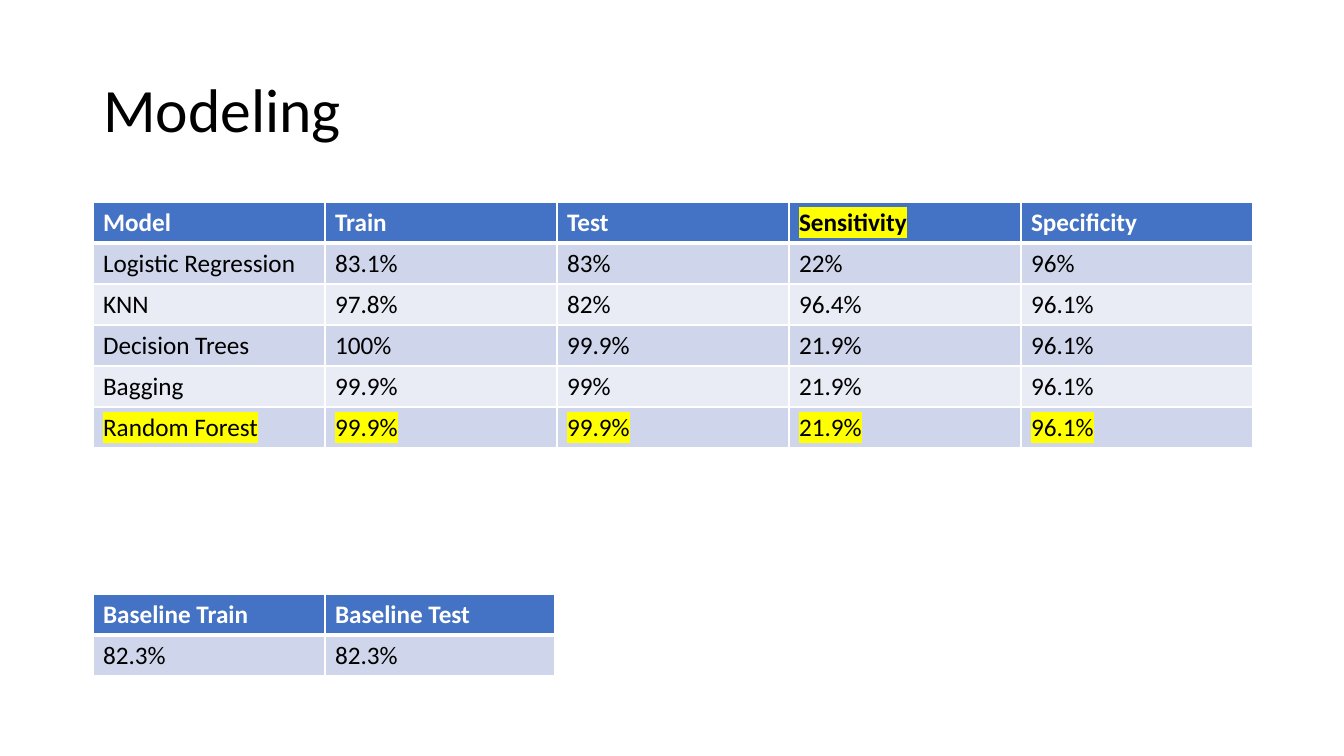
from lxml import etree
from pptx import Presentation
from pptx.dml.color import RGBColor
from pptx.enum.text import MSO_ANCHOR, MSO_AUTO_SIZE, PP_ALIGN
from pptx.oxml.ns import qn
from pptx.util import Emu, Pt

MIDDLE = MSO_ANCHOR.MIDDLE
NO_AUTOFIT = MSO_AUTO_SIZE.NONE
LEFT = PP_ALIGN.LEFT

EMU_PER_PX = 914400 / 100.8
TITLE_ONLY = 5
FONT = "Calibri"
COLORS = {
    "text": "000000",
    "header_text": "FFFFFF",
    "header": "4472C4",
    "odd_row": "CFD5EA",
    "even_row": "E9EBF5",
    "border": "FFFFFF",
    "highlight": "FFFF00",
}

MODEL_ROWS = [
    ["Model", "Train", "Test", "Sensitivity", "Specificity"],
    ["Logistic Regression", "83.1%", "83%", "22%", "96%"],
    ["KNN", "97.8%", "82%", "96.4%", "96.1%"],
    ["Decision Trees", "100%", "99.9%", "21.9%", "96.1%"],
    ["Bagging", "99.9%", "99%", "21.9%", "96.1%"],
    ["Random Forest", "99.9%", "99.9%", "21.9%", "96.1%"],
]
BASELINE_ROWS = [["Baseline Train", "Baseline Test"], ["82.3%", "82.3%"]]
HIGHLIGHTED = {(0, 3)} | {(5, column) for column in range(5)}


def px(length):
    return Emu(round(length * EMU_PER_PX))


class SlideBuilder:
    def __init__(self, presentation, font, colors):
        self.slide = presentation.slides.add_slide(presentation.slide_layouts[TITLE_ONLY])
        self.font = font
        self.colors = colors

    def color(self, name):
        return RGBColor.from_string(self.colors[name])

    def format_run(self, run, size, color, bold=False, highlight=False):
        run.font.name = self.font
        run.font.size = Pt(size)
        run.font.bold = bold
        run.font.color.rgb = self.color(color)
        if highlight:
            mark = etree.Element(qn("a:highlight"))
            etree.SubElement(mark, qn("a:srgbClr"), val=self.colors["highlight"])
            run.font._element.find(qn("a:solidFill")).addnext(mark)

    def title(self, text, left, top, width, height):
        shape = self.slide.shapes.title
        shape.left, shape.top = px(left), px(top)
        shape.width, shape.height = px(width), px(height)
        frame = shape.text_frame
        frame.text = text
        frame.auto_size = NO_AUTOFIT
        frame.vertical_anchor = MIDDLE
        paragraph = frame.paragraphs[0]
        paragraph.alignment = LEFT
        paragraph.line_spacing = 0.9
        self.format_run(paragraph.runs[0], 44, "text")

    def borders(self, cell, row):
        widths = {"L": 1, "R": 1, "T": 3 if row == 1 else 1, "B": 3 if row == 0 else 1}
        properties = cell._tc.get_or_add_tcPr()
        for position, (side, width) in enumerate(widths.items()):
            line = etree.Element(qn(f"a:ln{side}"), w=str(Pt(width)))
            fill = etree.SubElement(line, qn("a:solidFill"))
            etree.SubElement(fill, qn("a:srgbClr"), val=self.colors["border"])
            properties.insert(position, line)

    def table(self, rows, left, top, column_widths, row_height, highlighted=()):
        table = self.slide.shapes.add_table(
            len(rows), len(column_widths), px(left), px(top),
            px(sum(column_widths)), px(row_height * len(rows)),
        ).table
        for column, width in zip(table.columns, column_widths):
            column.width = px(width)
        for row, values in enumerate(rows):
            table.rows[row].height = px(row_height)
            header = row == 0
            fill = "header" if header else "odd_row" if row % 2 else "even_row"
            for column, value in enumerate(values):
                cell = table.cell(row, column)
                cell.text_frame.text = value
                cell.fill.solid()
                cell.fill.fore_color.rgb = self.color(fill)
                self.borders(cell, row)
                marked = (row, column) in highlighted
                color = "header_text" if header and not marked else "text"
                run = cell.text_frame.paragraphs[0].runs[0]
                self.format_run(run, 18, color, header, marked)


def main():
    presentation = Presentation()
    presentation.slide_width = px(1344)
    presentation.slide_height = px(756)
    builder = SlideBuilder(presentation, FONT, COLORS)
    builder.title("Modeling", 93, 40, 1159, 146)
    builder.table(MODEL_ROWS, 93, 202, [232] * 5, 41, HIGHLIGHTED)
    builder.table(BASELINE_ROWS, 93, 594, [232, 230], 41)
    presentation.save("out.pptx")


if __name__ == "__main__":
    main()
